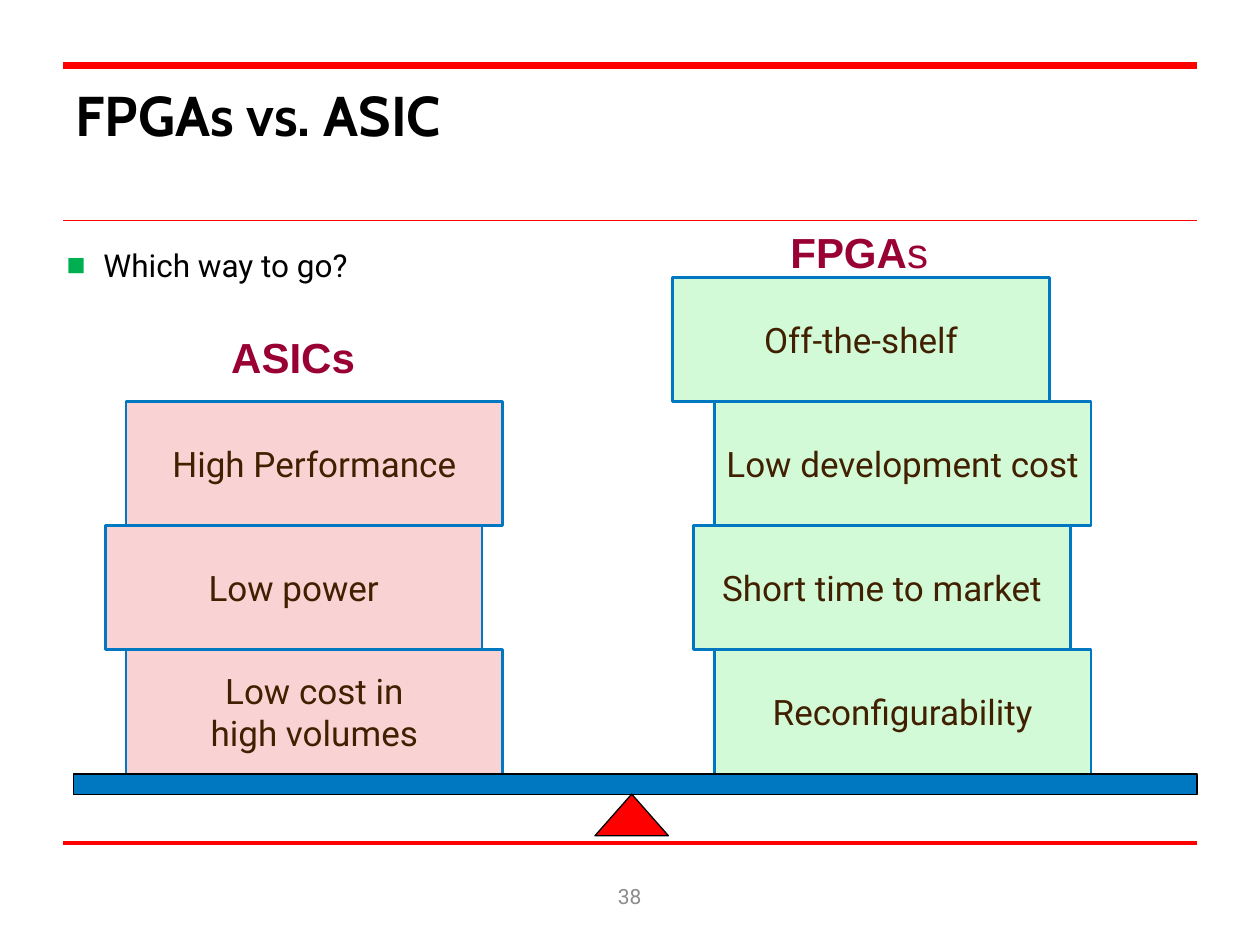
from lxml.etree import SubElement
from pptx import Presentation
from pptx.dml.color import RGBColor
from pptx.enum.shapes import MSO_CONNECTOR as Connector, MSO_SHAPE as Preset
from pptx.enum.text import MSO_ANCHOR as Anchor, MSO_AUTO_SIZE as AutoSize, PP_ALIGN as Align
from pptx.oxml.ns import qn
from pptx.util import Pt


class Theme:
    RULE = "FF0000"
    BEAM = "0078C1"
    OUTLINE = "000000"
    ASIC_FILL = "F9D3D3"
    FPGA_FILL = "D2FAD7"
    BULLET = "00B050"
    TITLE = dict(name="Cabin", size=Pt(32), bold=True, color="000000")
    BODY = dict(name="Roboto", size=Pt(18), color="000000")
    BLOCK = dict(name="Roboto", size=Pt(20), color="402000")
    HEADING = dict(name="Arial", size=Pt(24), bold=True, color="990033")
    NUMBER = dict(name="Roboto", size=Pt(12), color="8C8C8C")


class SlideBuilder:
    def __init__(self, slide, theme):
        self.slide = slide
        self.theme = theme

    def style(self, font, formats):
        for attribute, value in formats.items():
            if attribute == "color":
                font.color.rgb = RGBColor.from_string(value)
            else:
                setattr(font, attribute, value)

    def rule(self, y, weight):
        line = self.slide.shapes.add_connector(
            Connector.STRAIGHT, Pt(36), Pt(y), Pt(684), Pt(y))
        line.line.width = Pt(weight)
        line.line.color.rgb = RGBColor.from_string(self.theme.RULE)
        SubElement(line._element.spPr, qn("a:effectLst"))

    def shape(self, preset, box, fill, outline, weight):
        shape = self.slide.shapes.add_shape(preset, *map(Pt, box))
        shape.shadow.inherit = False
        shape.fill.solid()
        shape.fill.fore_color.rgb = RGBColor.from_string(fill)
        shape.line.color.rgb = RGBColor.from_string(outline)
        shape.line.width = Pt(weight)
        return shape

    def block(self, label, x, y, width, height, fill):
        block = self.shape(Preset.ROUNDED_RECTANGLE, (x, y, width, height),
                           fill, self.theme.BEAM, 1.5)
        block.adjustments[0] = 0
        frame = block.text_frame
        frame.word_wrap = False
        frame.vertical_anchor = Anchor.MIDDLE
        frame.text = label
        for paragraph in frame.paragraphs:
            paragraph.alignment = Align.CENTER
            self.style(paragraph.runs[0].font, self.theme.BLOCK)

    def pile(self, labels, lefts, fill, base=442.2, width=215.3, pitch=70.9):
        """Stack blocks on the beam, the first label at the bottom."""
        for level, (label, left) in enumerate(zip(labels, lefts), 1):
            self.block(label, left, base - level * pitch, width, pitch, fill)

    def text(self, runs, box, formats, align=Align.LEFT, anchor=Anchor.TOP, wrap=True):
        """Write one paragraph from (text, format overrides) pairs."""
        frame = self.slide.shapes.add_textbox(*map(Pt, box)).text_frame
        frame.word_wrap = wrap
        frame.auto_size = AutoSize.NONE
        frame.vertical_anchor = anchor
        paragraph = frame.paragraphs[0]
        paragraph.alignment = align
        for content, overrides in runs:
            run = paragraph.add_run()
            run.text = content
            self.style(run.font, {**formats, **overrides})
        return paragraph

    def bullet(self, content, box):
        paragraph = self.text([(content, {})], box, self.theme.BODY)
        properties = paragraph._p.get_or_add_pPr()
        properties.set("marL", str(Pt(21)))
        properties.set("indent", str(-Pt(21)))
        color = SubElement(properties, qn("a:buClr"))
        SubElement(color, qn("a:srgbClr"), val=self.theme.BULLET)
        SubElement(properties, qn("a:buFont"), typeface="Arial")
        SubElement(properties, qn("a:buChar"), char="■")


def main():
    deck = Presentation()
    deck.slide_width, deck.slide_height = Pt(720), Pt(540)
    theme = Theme()
    builder = SlideBuilder(deck.slides.add_slide(deck.slide_layouts[6]), theme)

    for y, weight in ((481.7, 2.5), (126, 1), (37.4, 4)):
        builder.rule(y, weight)
    builder.text([("FPGAs vs. ASIC", {})], (36, 42.5, 647.3, 72), theme.TITLE)
    builder.bullet("Which way to go?", (31, 136.8, 360, 28.8))

    builder.pile(("Reconfigurability", "Short time to market",
                  "Low development cost", "Off-the-shelf"),
                 (408.2, 396.4, 408.2, 384.4), theme.FPGA_FILL)
    builder.pile(("Low cost in\nhigh volumes", "Low power", "High Performance"),
                 (72, 60.2, 72), theme.ASIC_FILL)
    for runs, box in (
        ([("ASICs", {})], (124.6, 185.8, 85.7, 36)),
        ([("FPGA", {}), ("s", {"bold": False})], (444.2, 126, 93.6, 36)),
    ):
        builder.text(runs, box, theme.HEADING, Align.CENTER, wrap=False)

    builder.shape(Preset.RECTANGLE, (41.8, 442.2, 642.2, 12),
                  theme.BEAM, theme.OUTLINE, 0.75)
    builder.shape(Preset.ISOSCELES_TRIANGLE, (340, 453.8, 42, 23.8),
                  theme.RULE, theme.OUTLINE, 0.75)
    builder.text([("38", {})], (275.8, 497.5, 168, 28.8), theme.NUMBER,
                 Align.CENTER, Anchor.MIDDLE)
    deck.save("out.pptx")


if __name__ == "__main__":
    main()
